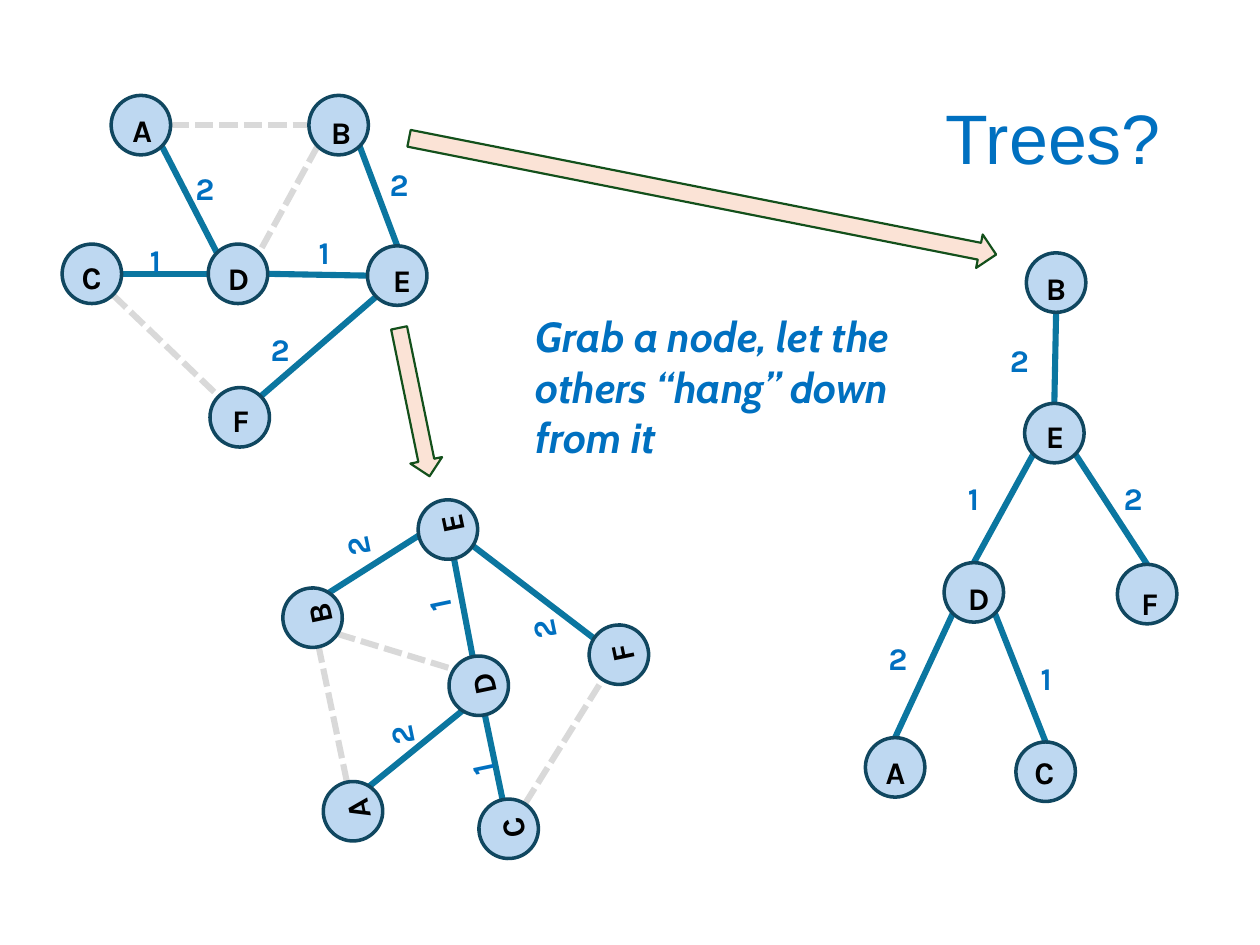
import math
from dataclasses import dataclass

import lxml.etree
import pptx
import pptx.dml.color
import pptx.enum.dml
import pptx.enum.shapes
import pptx.enum.text
import pptx.oxml.ns
import pptx.util

Pt = pptx.util.Pt
SHAPES = pptx.enum.shapes.MSO_SHAPE

COLORS = {
    "text": "0070C0",
    "letter": "000000",
    "node": "71AAE0",
    "outline": "104760",
    "kept": "0B76A0",
    "dropped": "D9D9D9",
    "arrow": "FBE3D6",
    "arrow_line": "13501B",
}
DIAMETER = 34
LABEL_HEIGHT = 29
LABEL_WIDTH = 29.5
LETTER_WIDTHS = {"C": 31.5, "D": 19.5, "E": 20}
SITE_ANGLES = {
    "right": 0, "bottom right": 45, "bottom": 90, "bottom left": 135,
    "left": 180, "top left": 225, "top": 270, "top right": 315,
}


@dataclass
class Node:
    x: float
    y: float
    letter_left: float
    letter_top: float


@dataclass
class Weight:
    value: str
    left: float
    top: float
    width: float = LABEL_WIDTH


@dataclass
class Edge:
    start: str
    start_site: str
    end: str
    end_site: str
    weight: Weight | None = None


@dataclass
class Arrow:
    left: float
    top: float
    width: float
    height: float
    angle: float


GRAPH_NODES = {
    "A": Node(80.5, 71.5, 68.5, 60),
    "B": Node(193.5, 71.5, 182, 61),
    "C": Node(52.5, 156.5, 39.5, 144),
    "D": Node(136, 156.5, 123, 144.5),
    "E": Node(227, 157.5, 217.5, 145.5),
    "F": Node(137, 238.5, 125.5, 225.5),
}
GRAPH_EDGES = [
    Edge("E", "bottom left", "F", "top right", Weight("2", 147.5, 185)),
    Edge("D", "left", "C", "right", Weight("1", 78.5, 134)),
    Edge("B", "bottom left", "D", "top right"),
    Edge("A", "bottom right", "D", "top left", Weight("2", 104.5, 93)),
    Edge("A", "right", "B", "left"),
    Edge("B", "bottom right", "E", "top", Weight("2", 215.5, 90.5)),
    Edge("E", "left", "D", "right", Weight("1", 175, 129.5)),
    Edge("C", "bottom right", "F", "top left"),
]
TREE_NODES = {
    "A": Node(511.5, 438.5, 499, 427),
    "B": Node(603.5, 161.5, 590.5, 150),
    "C": Node(597.5, 441, 584, 427),
    "D": Node(556.5, 338.5, 546, 327.5),
    "E": Node(602.5, 247.5, 590.5, 234.5),
    "F": Node(655.5, 339.5, 645, 330),
}
TREE_EDGES = [
    Edge("E", "bottom right", "F", "top", Weight("2", 635, 270)),
    Edge("D", "bottom right", "C", "top", Weight("1", 587.5, 373)),
    Edge("A", "top", "D", "bottom left", Weight("2", 500.5, 361.5)),
    Edge("B", "bottom", "E", "top", Weight("2", 570, 191.5, 20)),
    Edge("E", "bottom left", "D", "top", Weight("1", 546, 270)),
]
ARROWS = [
    Arrow(193.5, 220.5, 86.5, 18.5, 78.4),
    Arrow(230.5, 102.5, 342, 19.5, 11.2),
]


def rgb(name: str) -> pptx.dml.color.RGBColor:
    return pptx.dml.color.RGBColor.from_string(COLORS[name])


def set_font(font, family: str, size: float, color: str, bold: bool = False) -> None:
    font.name = family
    font.size = Pt(size)
    font.bold = bold
    font.color.rgb = rgb(color)


def paint(shape, fill: str, outline: str, width: float) -> None:
    shape.shadow.inherit = False
    shape.fill.solid()
    shape.fill.fore_color.rgb = rgb(fill)
    shape.line.color.rgb = rgb(outline)
    shape.line.width = Pt(width)


def add_text(shapes, text: str, left: float, top: float, width: float, height: float):
    frame = shapes.add_textbox(Pt(left), Pt(top), Pt(width), Pt(height)).text_frame
    frame.word_wrap = True
    frame.auto_size = pptx.enum.text.MSO_AUTO_SIZE.SHAPE_TO_FIT_TEXT
    frame.text = text
    return frame.paragraphs[0]


def add_label(shapes, text: str, left: float, top: float, width: float, color: str) -> None:
    label = add_text(shapes, text, left, top, width, LABEL_HEIGHT)
    label.space_after = Pt(6)
    set_font(label.font, "Karla", 18, color, bold=True)


def site_point(node: Node, site: str) -> tuple:
    angle = math.radians(SITE_ANGLES[site])
    radius = DIAMETER / 2
    return Pt(node.x + radius * math.cos(angle)), Pt(node.y + radius * math.sin(angle))


def add_edge(shapes, nodes: dict[str, Node], edge: Edge) -> None:
    start = site_point(nodes[edge.start], edge.start_site)
    end = site_point(nodes[edge.end], edge.end_site)
    link = shapes.add_connector(pptx.enum.shapes.MSO_CONNECTOR.STRAIGHT, *start, *end)
    link.line.width = Pt(3.5)
    link.line.color.rgb = rgb("kept" if edge.weight else "dropped")
    if not edge.weight:
        link.line.dash_style = pptx.enum.dml.MSO_LINE.SQUARE_DOT
        link.line._ln.prstDash.set("val", "sysDash")
    lxml.etree.SubElement(link._element.spPr, pptx.oxml.ns.qn("a:effectLst"))


def add_node(shapes, node: Node) -> None:
    circle = shapes.add_shape(
        SHAPES.OVAL, Pt(node.x - DIAMETER / 2), Pt(node.y - DIAMETER / 2),
        Pt(DIAMETER), Pt(DIAMETER))
    paint(circle, "node", "outline", 2)
    color = circle._element.spPr.find(".//" + pptx.oxml.ns.qn("a:srgbClr"))
    lxml.etree.SubElement(color, pptx.oxml.ns.qn("a:alpha")).set("val", "45000")


def add_graph(slide, nodes: dict[str, Node], edges: list[Edge]):
    graph = slide.shapes.add_group_shape()
    for edge in edges:
        add_edge(graph.shapes, nodes, edge)
    for letter, node in nodes.items():
        add_node(graph.shapes, node)
        add_label(graph.shapes, letter, node.letter_left, node.letter_top,
                  LETTER_WIDTHS.get(letter, LABEL_WIDTH), "letter")
    for weight in (edge.weight for edge in edges if edge.weight):
        add_label(graph.shapes, weight.value, weight.left, weight.top, weight.width, "text")
    return graph


def add_arrow(slide, arrow: Arrow) -> None:
    pointer = slide.shapes.add_shape(
        SHAPES.RIGHT_ARROW, Pt(arrow.left), Pt(arrow.top), Pt(arrow.width), Pt(arrow.height))
    pointer.rotation = arrow.angle
    paint(pointer, "arrow", "arrow_line", 1.25)


def main() -> None:
    deck = pptx.Presentation()
    deck.slide_width, deck.slide_height = Pt(720), Pt(540)
    slide = deck.slides.add_slide(deck.slide_layouts[5])

    title = slide.shapes.title
    title.left, title.top, title.width, title.height = Pt(49.5), Pt(29), Pt(621), Pt(104)
    title.text_frame.text = "Trees?"
    title.text_frame.vertical_anchor = pptx.enum.text.MSO_ANCHOR.MIDDLE
    heading = title.text_frame.paragraphs[0]
    heading.alignment = pptx.enum.text.PP_ALIGN.RIGHT
    heading.line_spacing = 0.9
    set_font(heading.font, "Arial", 40, "text")

    add_graph(slide, GRAPH_NODES, GRAPH_EDGES)
    hung_from_e = add_graph(slide, GRAPH_NODES, GRAPH_EDGES)
    hung_from_e.left += Pt(131)
    hung_from_e.top += Pt(233)
    hung_from_e.rotation = 258.2
    for arrow in ARROWS:
        add_arrow(slide, arrow)
    add_graph(slide, TREE_NODES, TREE_EDGES)

    advice = add_text(slide.shapes, "Grab a node, let the others “hang” down from it",
                      299, 174, 245, 94.5)
    set_font(advice.font, "Cabin", 24, "text", bold=True)
    advice.font.italic = True
    deck.save("out.pptx")


if __name__ == "__main__":
    main()
